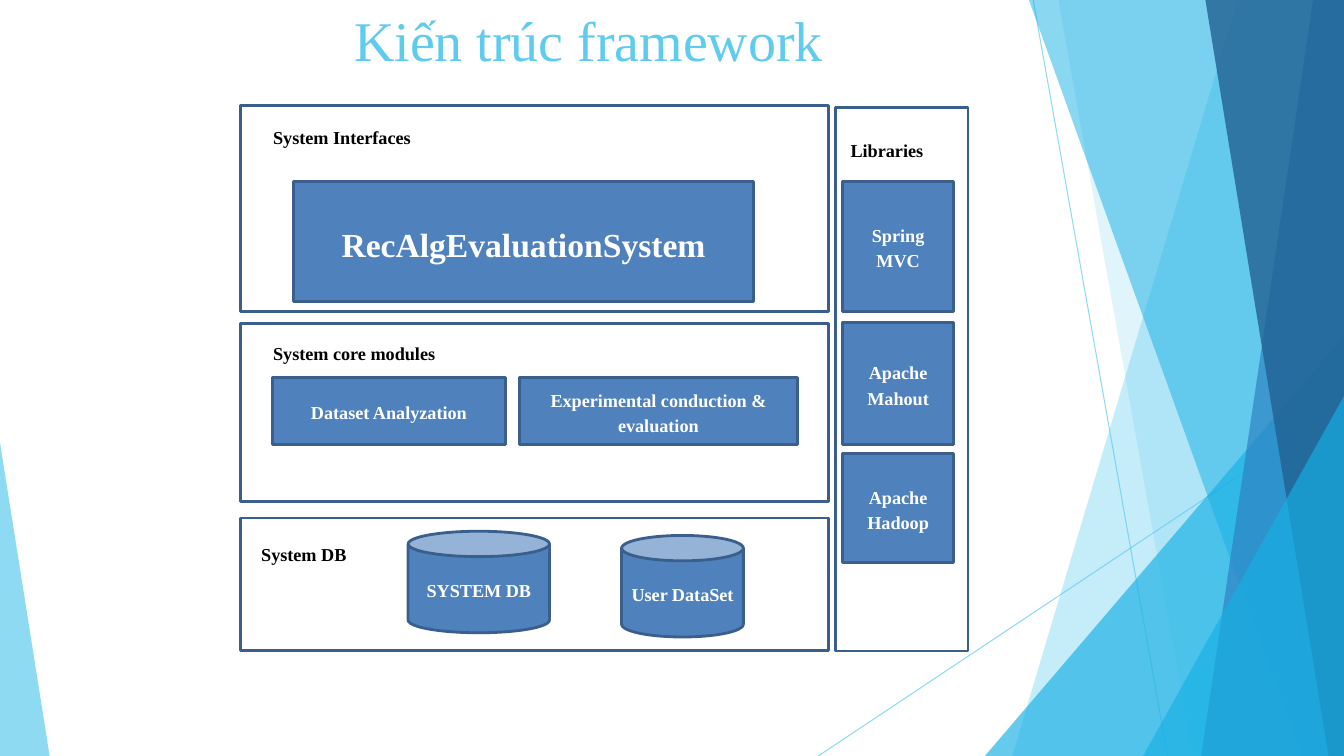
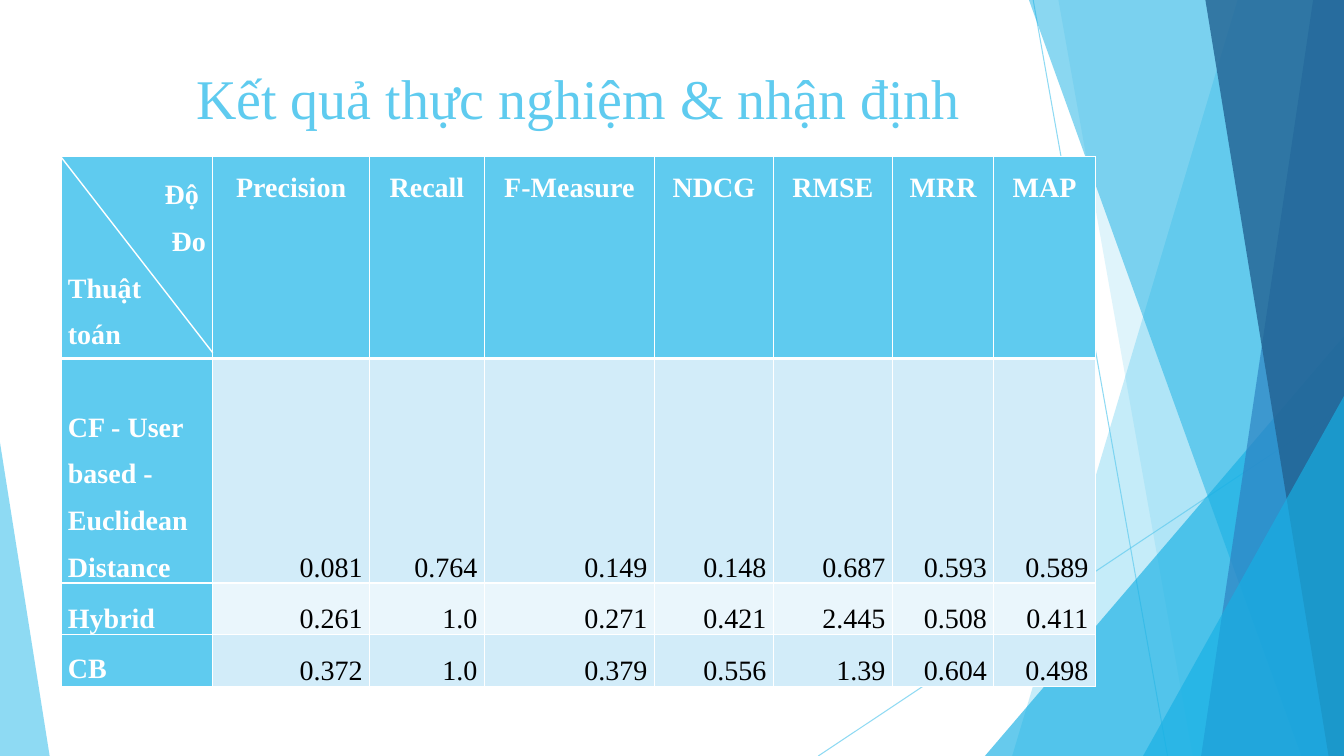
from dataclasses import dataclass

from lxml.etree import SubElement
from pptx import Presentation
from pptx.dml.color import RGBColor
from pptx.enum.shapes import MSO_CONNECTOR, MSO_SHAPE
from pptx.enum.text import MSO_ANCHOR, MSO_AUTO_SIZE, PP_ALIGN
from pptx.oxml.ns import qn
from pptx.util import Pt


@dataclass(frozen=True)
class Theme:
    font: str = "Times New Roman"
    title_size: float = 40
    system_size: float = 24
    table_size: float = 20
    label_size: float = 13
    sky: str = "5FCBEF"
    cyan: str = "17B0E4"
    blue: str = "2E83C3"
    navy: str = "226292"
    block: str = "4F81BD"
    outline: str = "3A5F8C"
    white: str = "FFFFFF"
    black: str = "000000"
    bands: tuple = ("D2ECF9", "EAF6FC")


THEME = Theme()
WIDTH, HEIGHT = 960, 540

# Backdrop: rays are (from, to); shards are (top x, bottom x, colour, opacity)
# reaching the right edge; wedges are (box, apex, colour, opacity)
RAYS = [((738, 0), (834, HEIGHT)), ((WIDTH, 290), (584.5, HEIGHT))]
RAY_OPACITY = 70
BACKDROP = [
    ("shard", (884, 723), THEME.sky, 36),
    ("shard", (756, 852), THEME.sky, 20),
    ("wedge", ((703.5, 240, 256.5, 300), 1), THEME.cyan, 66),
    ("shard", (735, 929.5), THEME.cyan, 50),
    ("shard", (938, 858), THEME.blue, 70),
    ("shard", (861, 949), THEME.navy, 80),
    ("wedge", ((816.5, 283, 143.5, 257), 1), THEME.cyan, 66),
    ("wedge", ((0, 316, 35.5, 224), 0), THEME.sky, 70),
]

# Architecture: boxes are (left, top, width, height)
ARCHITECTURE_TITLE = ("Kiến trúc framework", (68.5, 0, 704, 83))
PANELS = [
    (172, 75.5, 420, 147),
    (172, 231, 420, 127),
    (172, 370, 420, 94.5),
    (597, 77, 94.5, 388),
]
CAPTIONS = [
    ("System Interfaces", (188, 84, 243, 25)),
    ("System core modules", (188, 238.5, 243, 25)),
    ("System DB", (179.5, 382, 101, 25)),
    ("Libraries", (600.5, 93.5, 88, 20)),
]
BLOCKS = [
    ("Dataset Analyzation", (194.5, 269.5, 166.5, 48)),
    ("Experimental conduction & evaluation", (371, 269.5, 198.5, 48)),
    ("Spring MVC", (602, 129.5, 79, 93)),
    ("Apache Mahout", (602, 230.5, 79, 87)),
    ("Apache Hadoop", (602, 324, 79, 78)),
]
SYSTEM = ("RecAlgEvaluationSystem", (209.5, 129.5, 329, 86))
STORES = [
    ("SYSTEM DB", (291.5, 379.5, 101, 72.5)),
    ("User DataSet", (444, 382.5, 87, 72.5)),
]

# Results
RESULTS_TITLE = ("Kết quả thực nghiệm & nhận định", (61, 42, 704, 83))
CORNER = [("Độ ", PP_ALIGN.RIGHT), ("Đo", PP_ALIGN.RIGHT),
          ("Thuật", PP_ALIGN.LEFT), ("toán", PP_ALIGN.LEFT)]
MEASURES = ["Precision", "Recall", "F-Measure", "NDCG", "RMSE", "MRR", "MAP"]
RESULTS = [
    ("CF - User based - Euclidean Distance", MSO_ANCHOR.BOTTOM,
     ["0.081", "0.764", "0.149", "0.148", "0.687", "0.593", "0.589"]),
    ("Hybrid", MSO_ANCHOR.BOTTOM,
     ["0.261", "1.0", "0.271", "0.421", "2.445", "0.508", "0.411"]),
    ("CB", MSO_ANCHOR.MIDDLE,
     ["0.372", "1.0", "0.379", "0.556", "1.39", "0.604", "0.498"]),
]
TABLE_AT = (43.5, 112)
COLUMN_WIDTHS = [108.5, 112, 82, 121.5, 85, 85, 72.5, 72.5]
ROW_HEIGHTS = [144, 160.5, 37, 37]


def points(values):
    return [Pt(value) for value in values]


def rgb(colour):
    return RGBColor.from_string(colour)


def style(para, size, colour, bold=False, align=PP_ALIGN.LEFT, spacing=None):
    para.alignment = align
    para.line_spacing = spacing
    para.font.name = THEME.font
    para.font.size = Pt(size)
    para.font.bold = bold
    para.font.color.rgb = rgb(colour)


def set_opacity(shape, percent):
    for colour in shape.element.xpath(".//a:srgbClr"):
        SubElement(colour, qn("a:alpha")).set("val", str(percent * 1000))


def add_line(page, start, end, colour, width):
    line = page.shapes.add_connector(MSO_CONNECTOR.STRAIGHT, *points(start + end))
    line.line.color.rgb = rgb(colour)
    line.line.width = Pt(width)
    SubElement(line.element.spPr, qn("a:effectLst"))
    return line


def add_box(page, kind, box, fill, outline=None):
    shape = page.shapes.add_shape(kind, *points(box))
    finish_shape(shape, fill, outline)
    return shape


def finish_shape(shape, fill, outline=None):
    shape.shadow.inherit = False
    shape.fill.solid()
    shape.fill.fore_color.rgb = rgb(fill)
    if outline:
        shape.line.color.rgb = rgb(outline)
        shape.line.width = Pt(2)
    else:
        shape.line.fill.background()


# Shared backdrop, drawn on the first page and moved to its layout
def add_shard(page, top_x, bottom_x, colour):
    builder = page.shapes.build_freeform(Pt(top_x), 0)
    corners = [(WIDTH, 0), (WIDTH, HEIGHT), (bottom_x, HEIGHT)]
    builder.add_line_segments([points(corner) for corner in corners], close=True)
    shape = builder.convert_to_shape()
    finish_shape(shape, colour)
    return shape


def add_wedge(page, box, apex, colour):
    shape = add_box(page, MSO_SHAPE.ISOSCELES_TRIANGLE, box, colour)
    shape.adjustments[0] = apex
    return shape


def add_backdrop(page):
    parts = []
    for start, end in RAYS:
        ray = add_line(page, start, end, THEME.sky, 0.75)
        set_opacity(ray, RAY_OPACITY)
        parts.append(ray)
    makers = {"shard": add_shard, "wedge": add_wedge}
    for kind, geometry, colour, opacity in BACKDROP:
        part = makers[kind](page, *geometry, colour)
        set_opacity(part, opacity)
        parts.append(part)
    tree = page.slide_layout.shapes.element
    for index, part in enumerate(parts):
        part.element.xpath(".//p:cNvPr")[0].set("id", str(100 + index))
        tree.insert(2 + index, part.element)


def add_page(deck, title, box):
    page = deck.slides.add_slide(deck.slide_layouts[5])
    holder = page.shapes.title
    holder.left, holder.top, holder.width, holder.height = points(box)
    frame = holder.text_frame
    frame.text = title
    frame.auto_size = MSO_AUTO_SIZE.NONE
    frame.vertical_anchor = MSO_ANCHOR.TOP
    style(frame.paragraphs[0], THEME.title_size, THEME.sky, align=PP_ALIGN.CENTER)
    return page


# Architecture diagram
def write_label(shape, text, size, colour, align, anchor):
    frame = shape.text_frame
    frame.word_wrap = True
    frame.vertical_anchor = anchor
    para = frame.paragraphs[0]
    para.text = text
    para.space_after = Pt(10)
    style(para, size, colour, True, align, 1.15)


def add_block(page, text, box, kind=MSO_SHAPE.RECTANGLE, size=THEME.label_size):
    block = add_box(page, kind, box, THEME.block, THEME.outline)
    write_label(block, text, size, THEME.white, PP_ALIGN.CENTER, MSO_ANCHOR.MIDDLE)
    return block


def draw_architecture(page):
    for box in PANELS:
        add_box(page, MSO_SHAPE.RECTANGLE, box, THEME.white, THEME.outline)
    for text, box in CAPTIONS:
        caption = page.shapes.add_textbox(*points(box))
        write_label(caption, text, THEME.label_size, THEME.black,
                    PP_ALIGN.LEFT, MSO_ANCHOR.TOP)
    for text, box in BLOCKS:
        add_block(page, text, box)
    add_block(page, *SYSTEM, size=THEME.system_size)
    for text, box in STORES:
        store = add_block(page, text, box, MSO_SHAPE.CAN)
        store.text_frame.margin_left = store.text_frame.margin_right = Pt(4)


# Results table
def set_borders(cell, top, bottom):
    widths = {"a:lnL": 1, "a:lnR": 1, "a:lnT": top, "a:lnB": bottom}
    properties = cell._tc.get_or_add_tcPr()
    for tag, width in widths.items():
        line = SubElement(properties, qn(tag), w=str(Pt(width)))
        fill = SubElement(line, qn("a:solidFill"))
        SubElement(fill, qn("a:srgbClr"), val=THEME.white)


def fill_cell(cell, lines, fill, colour, bold, anchor, top=1, bottom=1):
    set_borders(cell, top, bottom)
    cell.fill.solid()
    cell.fill.fore_color.rgb = rgb(fill)
    cell.vertical_anchor = anchor
    cell.margin_left = cell.margin_right = Pt(5)
    cell.margin_top = cell.margin_bottom = 0
    frame = cell.text_frame
    frame.text = "\n".join(text for text, _ in lines)
    for para, (_, align) in zip(frame.paragraphs, lines):
        style(para, THEME.table_size, colour, bold, align, 1.5)


def draw_results(page):
    size = (sum(COLUMN_WIDTHS), sum(ROW_HEIGHTS))
    table = page.shapes.add_table(len(ROW_HEIGHTS), len(COLUMN_WIDTHS),
                                  *points(TABLE_AT + size)).table
    for column, width in zip(table.columns, COLUMN_WIDTHS):
        column.width = Pt(width)
    for row, height in zip(table.rows, ROW_HEIGHTS):
        row.height = Pt(height)

    heading = (THEME.sky, THEME.white, True)
    fill_cell(table.cell(0, 0), CORNER, *heading, MSO_ANCHOR.MIDDLE, bottom=3)
    for column, measure in enumerate(MEASURES, 1):
        fill_cell(table.cell(0, column), [(measure, PP_ALIGN.CENTER)],
                  *heading, MSO_ANCHOR.TOP, bottom=3)
    for row, (method, anchor, values) in enumerate(RESULTS, 1):
        top = 3 if row == 1 else 1
        fill_cell(table.cell(row, 0), [(method, PP_ALIGN.LEFT)],
                  *heading, anchor, top)
        band = THEME.bands[(row - 1) % 2]
        for column, value in enumerate(values, 1):
            fill_cell(table.cell(row, column), [(value, PP_ALIGN.RIGHT)],
                      band, THEME.black, False, MSO_ANCHOR.BOTTOM, top)

    # Diagonal of the corner cell
    left, top = TABLE_AT
    add_line(page, TABLE_AT, (left + COLUMN_WIDTHS[0], top + 140), THEME.white, 1)


def main():
    deck = Presentation()
    deck.slide_width, deck.slide_height = points((WIDTH, HEIGHT))
    architecture = add_page(deck, *ARCHITECTURE_TITLE)
    add_backdrop(architecture)
    draw_architecture(architecture)
    draw_results(add_page(deck, *RESULTS_TITLE))
    deck.save("out.pptx")


if __name__ == "__main__":
    main()
